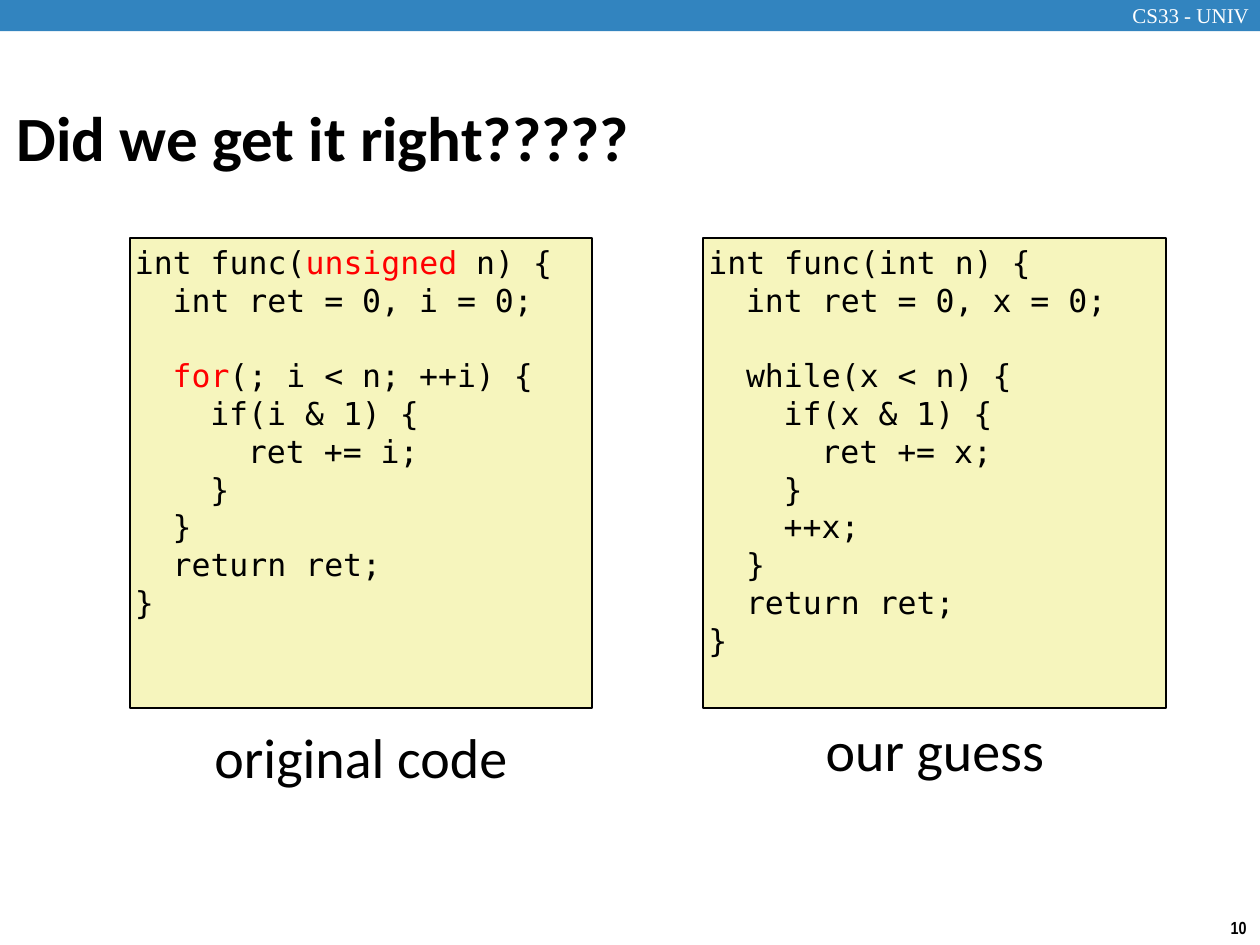
from dataclasses import dataclass

from pptx import Presentation
from pptx.dml.color import RGBColor
from pptx.enum.shapes import MSO_SHAPE as Shape
from pptx.enum.text import MSO_ANCHOR as Anchor, MSO_AUTO_SIZE as AutoSize, PP_ALIGN as Align
from pptx.util import Cm, Pt


@dataclass(frozen=True)
class Theme:
    band: str = "3284BF"
    panel: str = "F6F5BD"
    ink: str = "000000"
    light: str = "FFFFFF"
    accent: str = "FF0000"
    body_font: str = "Calibri"
    code_font: str = "DejaVu Sans Mono"
    header_font: str = "Times New Roman"
    number_font: str = "Arial Narrow"
    title_size: int = 36
    caption_size: int = 32
    code_size: int = 18
    header_size: int = 12
    number_size: int = 10
    code_line: float = 21.5
    code_indent: float = 0.76


THEME = Theme()
PANEL_TOP, PANEL_WIDTH, PANEL_HEIGHT = 4.8, 9.32, 9.47

ORIGINAL_CODE = [
    (0, ["int func(", "*unsigned", " n) {"]),
    (1, ["int ret = 0, i = 0;"]),
    None,
    (1, ["*for", "(; i < n; ++i) {"]),
    (2, ["if(i & 1) {"]),
    (3, ["ret += i;"]),
    (2, ["}"]),
    (1, ["}"]),
    (1, ["return ret;"]),
    (0, ["}"]),
]
GUESSED_CODE = [
    (0, ["int func(int n) {"]),
    (1, ["int ret = 0, x = 0;"]),
    None,
    (1, ["while(x < n) {"]),
    (2, ["if(x & 1) {"]),
    (3, ["ret += x;"]),
    (2, ["}"]),
    (2, ["++x;"]),
    (1, ["}"]),
    (1, ["return ret;"]),
    (0, ["}"]),
]


def add_span(para, text, font, size, color=THEME.ink, bold=False):
    span = para.add_run()
    span.text = text
    span.font.name = font
    span.font.size = Pt(size)
    span.font.bold = bold
    span.font.color.rgb = RGBColor.from_string(color)


def add_rectangle(page, left, top, width, height, fill):
    box = page.shapes.add_shape(Shape.RECTANGLE, Cm(left), Cm(top), Cm(width), Cm(height))
    box.shadow.inherit = False
    box.fill.solid()
    box.fill.fore_color.rgb = RGBColor.from_string(fill)
    box.line.fill.background()
    return box


def add_label(page, left, top, width, height, text, font, size, wrap=False, **style):
    box = page.shapes.add_textbox(Cm(left), Cm(top), Cm(width), Cm(height))
    box.text_frame.word_wrap = wrap
    para = box.text_frame.paragraphs[0]
    para.alignment = Align.CENTER
    add_span(para, text, font, size, **style)


def set_title(page, text):
    title = page.shapes.title
    title.left, title.top, title.width, title.height = Cm(0.08), Cm(1.7), Cm(13.18), Cm(2.11)
    frame = title.text_frame
    frame.auto_size = AutoSize.NONE
    frame.vertical_anchor = Anchor.MIDDLE
    para = frame.paragraphs[0]
    para.alignment = Align.LEFT
    add_span(para, text, THEME.body_font, THEME.title_size, bold=True)


def add_code_panel(page, left, lines):
    panel = add_rectangle(page, left, PANEL_TOP, PANEL_WIDTH, PANEL_HEIGHT, THEME.panel)
    panel.line.color.rgb = RGBColor.from_string(THEME.ink)
    panel.line.width = Pt(1)
    frame = panel.text_frame
    frame.word_wrap = True
    frame.vertical_anchor = Anchor.TOP
    frame.margin_left = frame.margin_right = Cm(0.1)
    frame.margin_top = frame.margin_bottom = Cm(0.1)
    for index, line in enumerate(lines):
        if line is None:
            continue
        level, pieces = line
        para = frame.paragraphs[0] if index == 0 else frame.add_paragraph()
        para.alignment = Align.LEFT
        properties = para._p.get_or_add_pPr()
        properties.set("marL", str(Cm(level * THEME.code_indent)))
        properties.set("indent", "0")
        if index and lines[index - 1] is None:
            para.space_before = Pt(THEME.code_line)
        for piece in pieces:
            color = THEME.accent if piece.startswith("*") else THEME.ink
            add_span(para, piece.removeprefix("*"), THEME.code_font, THEME.code_size, color)


def main():
    deck = Presentation()
    deck.slide_width, deck.slide_height = Cm(25.4), Cm(19.05)
    page = deck.slides.add_slide(deck.slide_layouts[5])

    add_rectangle(page, 0, 0, 25.4, 0.63, THEME.band)
    add_label(page, 22.43, -0.08, 3.15, 0.76, "CS33 - UNIV", THEME.header_font,
              THEME.header_size, wrap=True, color=THEME.light)
    add_label(page, 24.54, 18.36, 0.86, 0.69, "10", THEME.number_font,
              THEME.number_size, bold=True)
    set_title(page, "Did we get it right?????")

    add_code_panel(page, 2.62, ORIGINAL_CODE)
    add_code_panel(page, 14.18, GUESSED_CODE)
    add_label(page, 4.04, 14.45, 6.48, 1.63, "original code", THEME.body_font, THEME.caption_size)
    add_label(page, 16.36, 14.3, 4.98, 1.63, "our guess", THEME.body_font, THEME.caption_size)

    deck.save("out.pptx")


if __name__ == "__main__":
    main()
